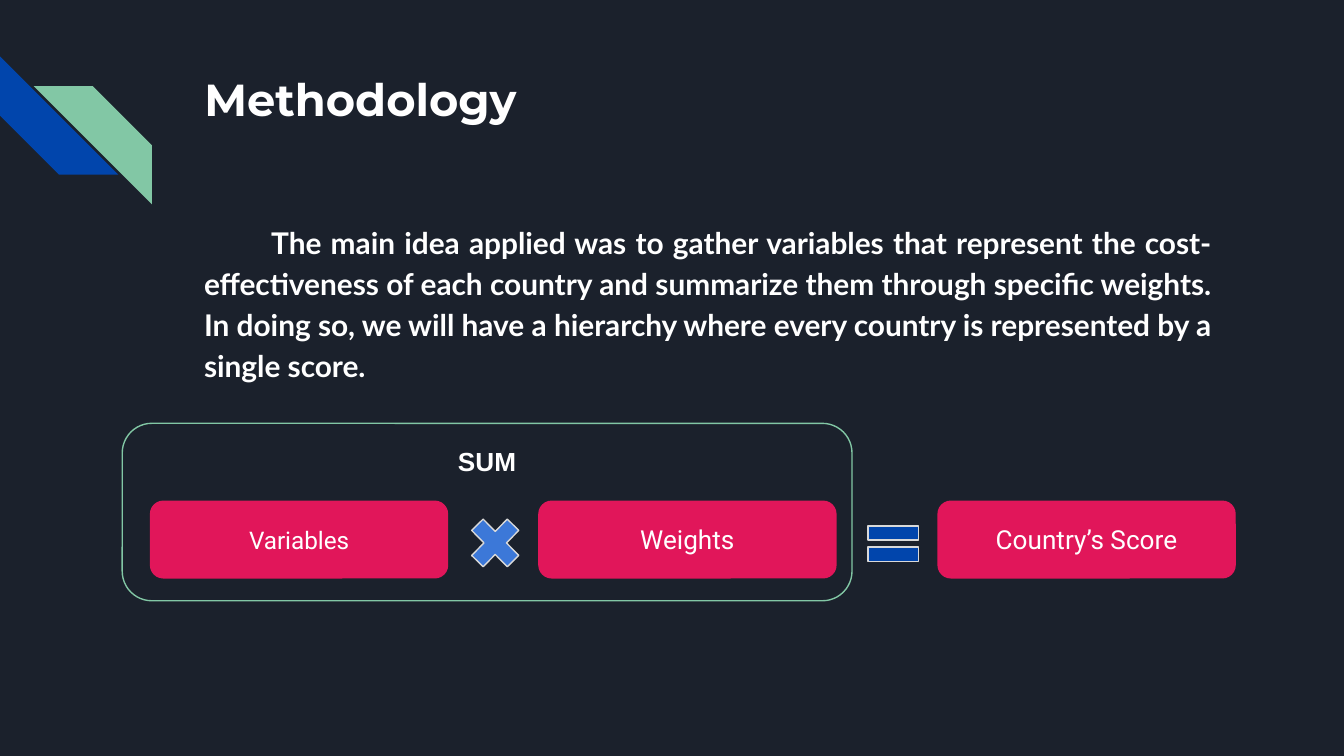
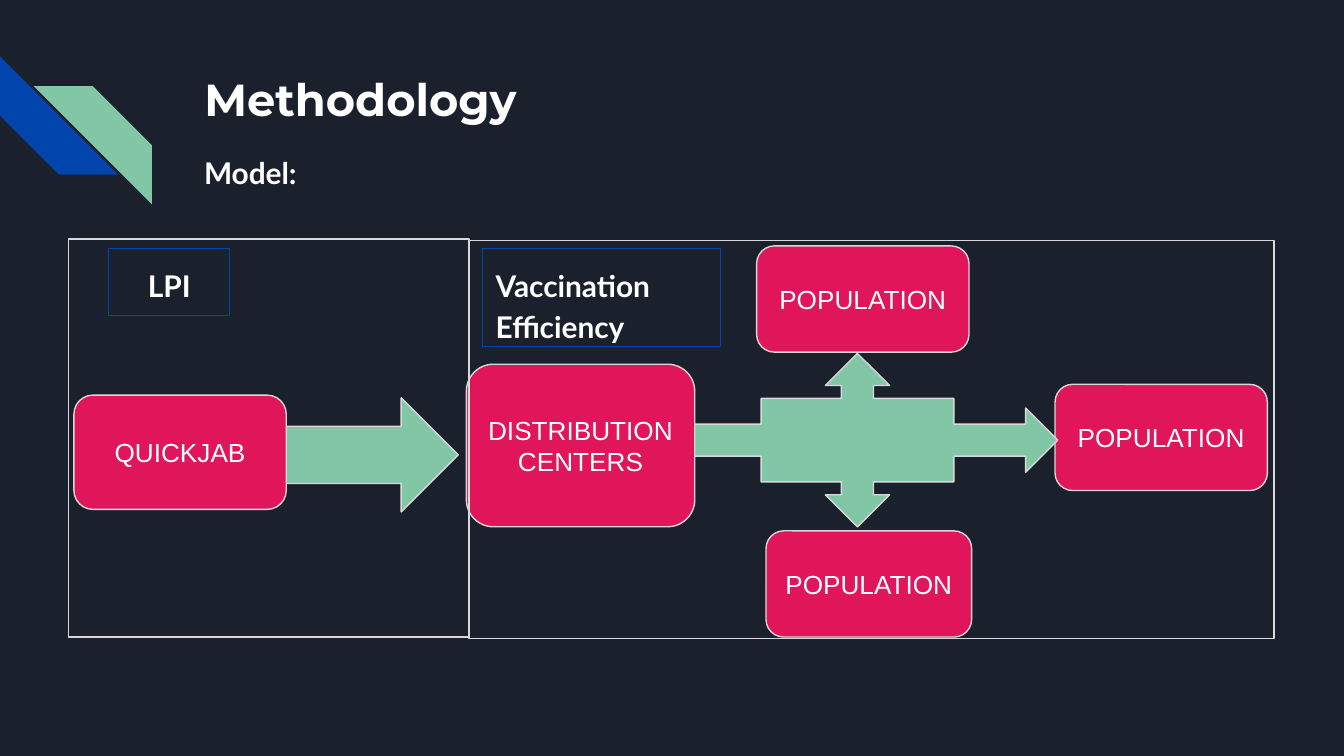
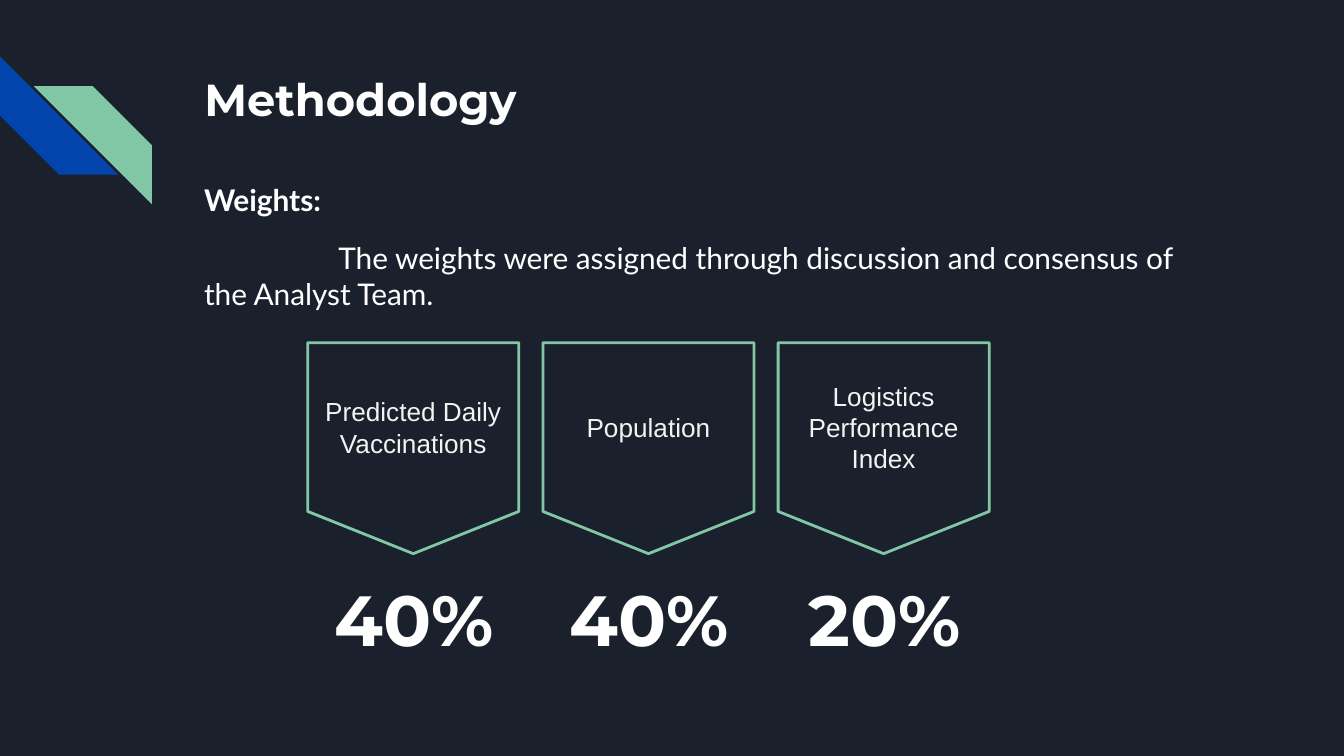
from dataclasses import dataclass

from pptx import Presentation
from pptx import util as u
from pptx.dml.color import RGBColor
from pptx.enum import shapes, text

SHAPE = shapes.MSO_SHAPE
ALIGN = text.PP_ALIGN
ANCHOR = text.MSO_ANCHOR


@dataclass(frozen=True)
class Theme:
    background: str = "1B212C"
    blue: str = "0145AC"
    light_blue: str = "3C78D8"
    green: str = "82C7A5"
    pink: str = "E1165A"
    outline: str = "D9D9D9"
    white: str = "FFFFFF"
    off_white: str = "F3F3F3"
    title_font: str = "Montserrat"
    body_font: str = "Lato"
    label_font: str = "Arial"
    step_font: str = "Roboto"
    title_size: float = 24
    body_size: float = 16
    label_size: float = 14
    small_size: float = 13
    figure_size: float = 38
    thin: float = 0.75
    thick: float = 1.5
    inset: float = 0.1


class Deck:
    def __init__(self, theme):
        self.t = theme
        self.prs = Presentation()
        self.prs.slide_width = u.Inches(10)
        self.prs.slide_height = u.Inches(10 * 9 / 16)
        fill = self.prs.slide_master.background.fill
        fill.solid()
        fill.fore_color.rgb = RGBColor.from_string(theme.background)
        self.s = None

    def new_slide(self, title):
        t = self.t
        self.s = self.prs.slides.add_slide(self.prs.slide_layouts[5])
        self.shape(SHAPE.DIAGONAL_STRIPE, 0, 0.42, 0.88, 0.88, fill=t.blue).rotation = 270
        self.shape(SHAPE.DIAGONAL_STRIPE, 0.25, 0.64, 0.88, 0.88, fill=t.green).rotation = 90
        sp = self.s.shapes.title
        sp.left, sp.top, sp.width, sp.height = map(u.Inches, (1.42, 0.43, 7.7, 1))
        self.frame(sp, ANCHOR.TOP)
        self.paragraph(sp, title, t.title_font, t.title_size, bold=True, align=ALIGN.LEFT)

    def frame(self, sp, anchor):
        tf = sp.text_frame
        tf.word_wrap = True
        tf.auto_size = text.MSO_AUTO_SIZE.NONE
        tf.vertical_anchor = anchor
        tf.margin_left = tf.margin_right = u.Inches(self.t.inset)
        tf.margin_top = tf.margin_bottom = u.Inches(self.t.inset)

    def paragraph(self, sp, words, font, size, color=None, bold=False, align=ALIGN.CENTER,
                  spacing=1.0, indent=0, gap=0, extra=False):
        """Fill the first paragraph, or with extra a new one after it."""
        tf = sp.text_frame
        p = tf.add_paragraph() if extra else tf.paragraphs[0]
        p.alignment = align
        p.line_spacing = spacing
        p.space_before = p.space_after = u.Pt(gap)
        if indent:
            p._p.get_or_add_pPr().set("indent", str(u.Inches(indent)))
        r = p.add_run()
        r.text = words
        r.font.name, r.font.size, r.font.bold = font, u.Pt(size), bold
        r.font.color.rgb = RGBColor.from_string(color or self.t.white)

    def shape(self, kind, left, top, width, height, fill=None, line=None, weight=None):
        sp = self.s.shapes.add_shape(kind, *map(u.Inches, (left, top, width, height)))
        sp.shadow.inherit = False
        if fill:
            sp.fill.solid()
            sp.fill.fore_color.rgb = RGBColor.from_string(fill)
        else:
            sp.fill.background()
        if line:
            sp.line.color.rgb = RGBColor.from_string(line)
            sp.line.width = u.Pt(weight or self.t.thin)
        else:
            sp.line.fill.background()
        return sp

    def symbol(self, kind, *box, fill):
        return self.shape(kind, *box, fill=fill, line=self.t.outline)

    def panel(self, *box):
        return self.shape(SHAPE.RECTANGLE, *box, line=self.t.outline)

    def card(self, words, *box, line=None, font=None, size=None):
        t = self.t
        sp = self.shape(SHAPE.ROUNDED_RECTANGLE, *box, fill=t.pink, line=line or t.outline)
        self.frame(sp, ANCHOR.MIDDLE)
        self.paragraph(sp, words, font or t.label_font, size or t.label_size)

    def text_box(self, *box):
        sp = self.s.shapes.add_textbox(*map(u.Inches, box))
        self.frame(sp, ANCHOR.TOP)
        return sp

    def body(self, words, *box, align=ALIGN.LEFT, spacing=1.15, indent=0, line=None):
        sp = self.text_box(*box)
        if line:
            sp.line.color.rgb = RGBColor.from_string(line)
            sp.line.width = u.Pt(self.t.thin)
        self.paragraph(sp, words, self.t.body_font, self.t.body_size, bold=True,
                       align=align, spacing=spacing, indent=indent)
        return sp


def score_slide(d):
    t = d.t
    group = d.shape(SHAPE.ROUNDED_RECTANGLE, 0.91, 3.15, 5.43, 1.32, line=t.green)
    d.frame(group, ANCHOR.TOP)
    d.paragraph(group, "SUM", t.label_font, t.label_size, bold=True)
    for words, left, size in (("Variables", 1.12, t.small_size),
                              ("Weights", 4.01, t.label_size),
                              ("Country’s Score", 6.98, t.label_size)):
        d.card(words, left, 3.73, 2.21, 0.57, line=t.pink, font=t.step_font, size=size)
    d.symbol(SHAPE.MATH_MULTIPLY, 3.43, 3.78, 0.51, 0.52, fill=t.light_blue)
    d.symbol(SHAPE.MATH_EQUAL, 6.39, 3.82, 0.51, 0.45, fill=t.blue)
    d.body("The main idea applied was to gather variables that represent the "
           "cost-effectiveness of each country and summarize them through specific "
           "weights. In doing so, we will have a hierarchy where every country is "
           "represented by a single score.",
           1.42, 1.53, 7.7, 1.52, align=ALIGN.JUSTIFY, indent=0.5)


def model_slide(d):
    t = d.t
    d.body("Model:", 1.42, 1.01, 1.2, 0.5)
    d.symbol(SHAPE.RIGHT_ARROW, 1.64, 2.96, 1.77, 0.85, fill=t.green)
    d.card("POPULATION", 7.85, 2.86, 1.58, 0.79)
    d.symbol(SHAPE.QUAD_ARROW_CALLOUT, 4.89, 2.63, 2.98, 1.29, fill=t.green)
    d.card("DISTRIBUTION CENTERS", 3.47, 2.71, 1.7, 1.21)
    d.card("POPULATION", 5.63, 1.83, 1.58, 0.79)
    d.panel(3.49, 1.79, 5.99, 2.96)
    d.card("POPULATION", 5.7, 3.95, 1.53, 0.79)
    d.panel(0.51, 1.78, 2.98, 2.96)
    d.body("LPI", 0.81, 1.85, 0.9, 0.5, align=ALIGN.CENTER, line=t.blue)
    d.body("Vaccination Efficiency", 3.59, 1.85, 1.77, 0.73, line=t.blue)
    d.card("QUICKJAB", 0.55, 2.94, 1.58, 0.85)


def weights_slide(d):
    t = d.t
    weights = (("Predicted Daily Vaccinations", "40%"),
               ("Population", "40%"),
               ("Logistics Performance Index", "20%"))
    side, pitch = 1.57, 1.75
    for i, (variable, share) in enumerate(weights):
        left = 2.29 + i * pitch
        tag = d.shape(SHAPE.FLOWCHART_OFFPAGE_CONNECTOR, left, 2.55, side, side,
                      line=t.green, weight=t.thick)
        d.frame(tag, ANCHOR.MIDDLE)
        d.paragraph(tag, variable, t.label_font, t.label_size, t.off_white)
        figure = d.text_box(left + 0.08, 4.18, 1.42, 0.84)
        d.paragraph(figure, share, t.title_font, t.figure_size, bold=True)
    intro = d.body("Weights:", 1.42, 1.25, 7.7, 0.57, spacing=1.0)
    d.paragraph(intro, "The weights were assigned through discussion and consensus of the "
                "Analyst Team.", t.body_font, t.body_size, align=ALIGN.LEFT,
                indent=1, gap=12, extra=True)


def main():
    d = Deck(Theme())
    for fill_slide in (score_slide, model_slide, weights_slide):
        d.new_slide("Methodology")
        fill_slide(d)
    d.prs.save("out.pptx")


if __name__ == "__main__":
    main()
